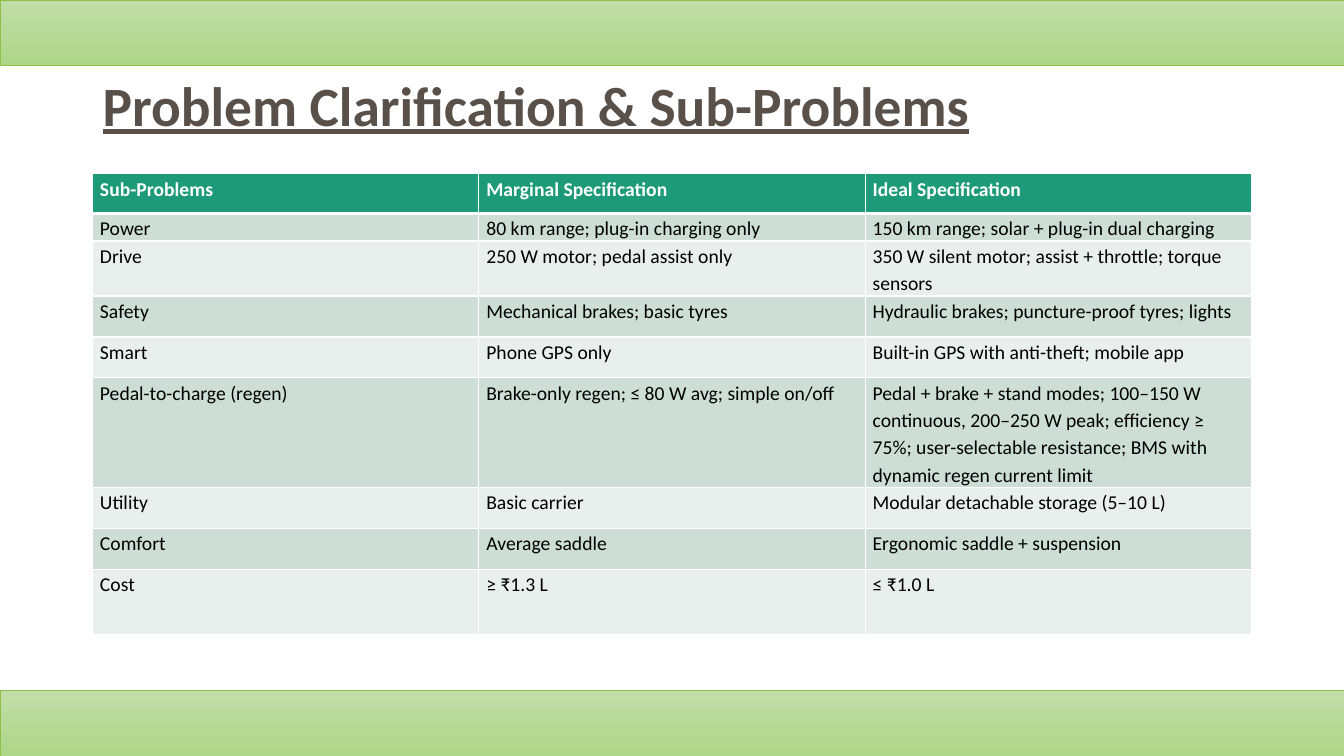
import pptx
import pptx.util
import pptx.dml.color
import pptx.enum.shapes
import pptx.enum.text
import pptx.oxml.ns
import lxml.etree

Cm, Pt = pptx.util.Cm, pptx.util.Pt
COLORS = {
    "band_top": "C2DEA8", "band_bottom": "AED588", "band_line": "8BC145",
    "title": "595149", "header": "1D9A78", "row_dark": "CDDED6",
    "row_light": "E8EFEC", "white": "FFFFFF", "black": "000000",
}


def rgb(name):
    return pptx.dml.color.RGBColor.from_string(COLORS[name])


def write(frame, text, *, size, color, bold=False, underline=False,
          line_spacing=1.0, space_after=0):
    paragraph = frame.paragraphs[0]
    paragraph.alignment = pptx.enum.text.PP_ALIGN.LEFT
    paragraph.line_spacing = line_spacing
    paragraph.space_before = Pt(0)
    paragraph.space_after = Pt(space_after)
    run = paragraph.add_run()
    run.text = text
    run.font.name = "Calibri"
    run.font.size = Pt(size)
    run.font.bold = bold
    run.font.underline = underline
    run.font.color.rgb = rgb(color)


deck = pptx.Presentation()
deck.slide_width, deck.slide_height = Cm(33.87), Cm(19.05)
slide = deck.slides.add_slide(deck.slide_layouts[5])

# Green bands at the top and bottom edges
band_height = Cm(1.65)
for band_y in (0, deck.slide_height - band_height):
    band = slide.shapes.add_shape(pptx.enum.shapes.MSO_SHAPE.RECTANGLE,
                                  0, band_y, deck.slide_width, band_height)
    band.shadow.inherit = False
    band.fill.gradient()
    band.fill.gradient_angle = 270
    for stop, color in zip(band.fill.gradient_stops, ("band_top", "band_bottom")):
        stop.color.rgb = rgb(color)
    band.line.color.rgb = rgb("band_line")
    band.line.width = Pt(0.5)

# Title
title = slide.shapes.title
title.left, title.top, title.width, title.height = Cm(2.33), Cm(1.9), Cm(29.21), Cm(1.65)
title.text_frame.word_wrap = True
title.text_frame.auto_size = pptx.enum.text.MSO_AUTO_SIZE.NONE
title.text_frame.vertical_anchor = pptx.enum.text.MSO_ANCHOR.MIDDLE
write(title.text_frame, "Problem Clarification & Sub-Problems", size=39.6,
      color="title", bold=True, underline=True, line_spacing=0.9)

# Specification table: row height in cm, then the three cells
specifications = [
    (1.0, "Sub-Problems", "Marginal Specification", "Ideal Specification"),
    (0.69, "Power", "80 km range; plug-in charging only",
     "150 km range; solar + plug-in dual charging"),
    (1.39, "Drive", "250 W motor; pedal assist only",
     "350 W silent motor; assist + throttle; torque sensors"),
    (1.03, "Safety", "Mechanical brakes; basic tyres",
     "Hydraulic brakes; puncture-proof tyres; lights"),
    (1.03, "Smart", "Phone GPS only", "Built-in GPS with anti-theft; mobile app"),
    (2.77, "Pedal-to-charge (regen)", "Brake-only regen; ≤ 80 W avg; simple on/off",
     "Pedal + brake + stand modes; 100–150 W continuous, 200–250 W peak; "
     "efficiency ≥ 75%; user-selectable resistance; BMS with dynamic regen current limit"),
    (1.03, "Utility", "Basic carrier", "Modular detachable storage (5–10 L)"),
    (1.03, "Comfort", "Average saddle", "Ergonomic saddle + suspension"),
    (1.65, "Cost", "≥ ₹1.3 L", "≤ ₹1.0 L"),
]
table_height = Cm(sum(row[0] for row in specifications))
table = slide.shapes.add_table(len(specifications), 3, Cm(2.33), Cm(4.38),
                               Cm(29.21), table_height).table

for row_index, (height, *texts) in enumerate(specifications):
    table.rows[row_index].height = Cm(height)
    is_header = row_index == 0
    row_fill = "header" if is_header else ("row_light", "row_dark")[row_index % 2]
    for column_index, text in enumerate(texts):
        cell = table.cell(row_index, column_index)
        cell.margin_left = cell.margin_right = Cm(0.19)
        cell.margin_top = cell.margin_bottom = 0
        cell.vertical_anchor = pptx.enum.text.MSO_ANCHOR.TOP

        # White borders, heavier between the header and the body
        properties = cell._tc.get_or_add_tcPr()
        for side in "LRTB":
            heavy = (row_index, side) in ((0, "B"), (1, "T"))
            border = lxml.etree.SubElement(
                properties, pptx.oxml.ns.qn(f"a:ln{side}"), w=str(Pt(3 if heavy else 1)))
            solid = lxml.etree.SubElement(border, pptx.oxml.ns.qn("a:solidFill"))
            lxml.etree.SubElement(solid, pptx.oxml.ns.qn("a:srgbClr"), val=COLORS["white"])

        cell.fill.solid()
        cell.fill.fore_color.rgb = rgb(row_fill)
        write(cell.text_frame, text, size=14, color="white" if is_header else "black",
              bold=is_header, line_spacing=1.15, space_after=8)

deck.save("out.pptx")
